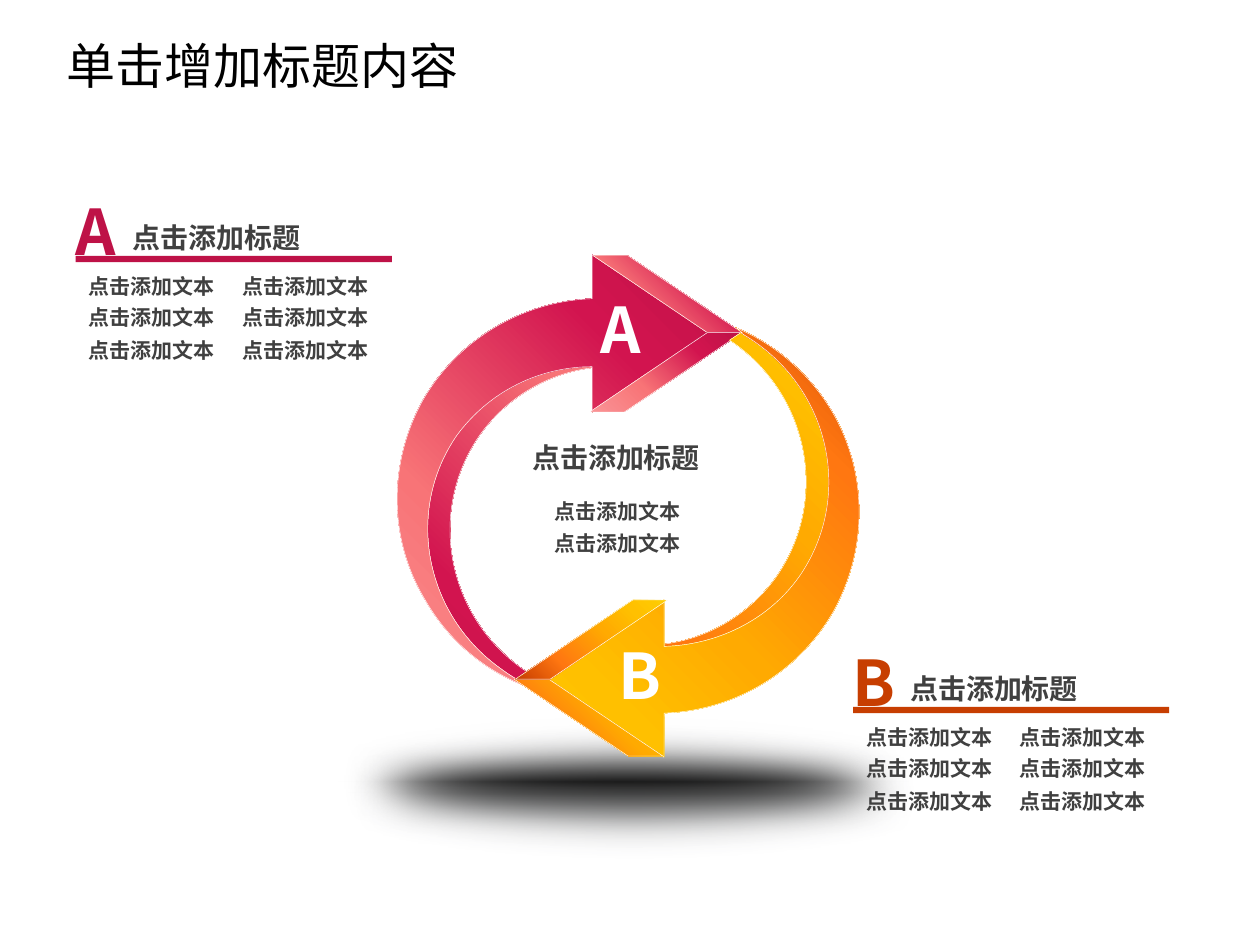
from math import cos, radians, sin

from lxml import etree
from pptx import Presentation
from pptx.dml.color import RGBColor
from pptx.enum.shapes import MSO_SHAPE
from pptx.enum.text import MSO_ANCHOR, MSO_AUTO_SIZE, PP_ALIGN
from pptx.oxml import parse_xml
from pptx.oxml.ns import nsdecls, qn
from pptx.util import Inches, Pt

BLACK = RGBColor(0x00, 0x00, 0x00)
WHITE = RGBColor(0xFF, 0xFF, 0xFF)
GRAY = RGBColor(0x40, 0x40, 0x40)
CRIMSON = RGBColor(0xBE, 0x12, 0x47)
RUST = RGBColor(0xC7, 0x3E, 0x01)
SHADE = RGBColor(0x12, 0x12, 0x12)
SHADOW = RGBColor(0x53, 0x54, 0x55)
RED_STOPS = [(0, CRIMSON, 100), (27, RGBColor(0xD2, 0x14, 0x4F), 100),
             (66, RGBColor(0xF8, 0x74, 0x77), 100), (100, RGBColor(0xFA, 0x94, 0x96), 100)]
GOLD_STOPS = [(0, RUST, 100), (27, RGBColor(0xFF, 0x77, 0x11), 100),
              (59, RGBColor(0xFF, 0xAA, 0x01), 100), (80, RGBColor(0xFF, 0xC0, 0x00), 100),
              (100, RGBColor(0xFE, 0xCE, 0x02), 100)]
FLOOR_STOPS = [(0, SHADE, 100), (100, WHITE, 0)]

TOP_RIGHT = (100, 0, 0, 100)
BOTTOM_LEFT = (0, 100, 100, 0)
CENTER = (50, 50, 50, 50)
SANS = "Noto Sans CJK SC"
LETTER_FONT = "Noto Sans CJK KR"
HEADING = "点击添加标题"
BODY = "点击添加文本"

A_RIBBON = [
    (4.8, 2.38), (4.8, 2.91), (4.41, 2.93, 4.05, 3.12, 3.81, 3.45),
    (3.39, 4.05, 3.54, 4.88, 4.15, 5.31), (4.24, 5.37, 4.33, 5.42, 4.43, 5.46),
    (4.49, 5.48), (4.51, 5.49, 4.53, 5.5, 4.56, 5.51), (4.51, 5.49), (4.29, 5.49),
    (4.11, 5.41), (3.83, 5.23), (3.57, 4.95), (3.35, 4.42), (3.39, 4.39),
    (3.28, 3.99, 3.33, 3.55, 3.54, 3.17), (3.8, 2.71, 4.28, 2.42, 4.8, 2.38)]
A_ARROW = [
    (4.7, 2.02), (5.65, 2.65), (4.7, 3.27), (4.7, 2.91),
    (4.29, 2.91, 3.89, 3.1, 3.63, 3.45), (3.21, 4.05, 3.37, 4.88, 3.98, 5.31),
    (4.1, 5.4, 4.24, 5.47, 4.38, 5.51), (3.96, 5.41, 3.6, 5.15, 3.38, 4.77),
    (3.08, 4.28, 3.08, 3.67, 3.36, 3.17), (3.64, 2.69, 4.15, 2.39, 4.7, 2.37)]
B_RIBBON = [
    (5.88, 2.64), (6.15, 2.8), (6.41, 3.08), (6.63, 3.61), (6.58, 3.64),
    (6.69, 4.04, 6.64, 4.48, 6.43, 4.86), (6.17, 5.32, 5.7, 5.61, 5.18, 5.65),
    (5.18, 5.12), (5.56, 5.1, 5.92, 4.91, 6.16, 4.58),
    (6.58, 3.98, 6.43, 3.15, 5.82, 2.72), (5.79, 2.7)]
B_ARROW = [
    (5.84, 2.6), (6.15, 2.73, 6.42, 2.96, 6.6, 3.26),
    (6.89, 3.75, 6.89, 4.36, 6.61, 4.86), (6.33, 5.34, 5.83, 5.64, 5.27, 5.66),
    (5.27, 6.01), (4.32, 5.38), (5.27, 4.76), (5.27, 5.13),
    (5.68, 5.12, 6.09, 4.93, 6.34, 4.58), (6.76, 3.98, 6.61, 3.15, 6, 2.72),
    (5.96, 2.69, 5.92, 2.67, 5.88, 2.64), (5.89, 2.64)]


def set_gradient(sp, stops, focus, path="circle"):
    """Fill a shape with a path gradient that starts at the focus."""
    gs = "".join(
        f'<a:gs pos="{pos * 1000}"><a:srgbClr val="{color}">'
        f'<a:alpha val="{alpha * 1000}"/></a:srgbClr></a:gs>' for pos, color, alpha in stops)
    sides = " ".join(f'{side}="{v * 1000}"' for side, v in zip("ltrb", focus))
    grad = parse_xml(
        f'<a:gradFill {nsdecls("a")} rotWithShape="1"><a:gsLst>{gs}</a:gsLst>'
        f'<a:path path="{path}"><a:fillToRect {sides}/></a:path></a:gradFill>')
    sp.fill.background()
    sp_pr = sp._element.spPr
    sp_pr.replace(sp_pr.find(qn("a:noFill")), grad)


def style_facet(sp, stops, focus):
    """Give an arrow part its gradient and thin white edge."""
    sp.shadow.inherit = False
    set_gradient(sp, stops, focus)
    sp.line.color.rgb = WHITE
    sp.line.width = Pt(0.25)


def to_frame(x, y, frame, angle):
    """Turn a slide point into EMU inside a frame that is rotated by angle."""
    left, top, w, h = frame
    dx, dy = x - left - w / 2, y - top - h / 2
    c, s = cos(radians(angle)), sin(radians(angle))
    return Inches(dx * c + dy * s + w / 2), Inches(dy * c - dx * s + h / 2)


def add_curve(shapes, outline, frame, angle, stops, focus):
    """Add a closed outline of lines and cubic curves in a rotated frame."""
    builder = shapes.build_freeform(0, 0)
    builder.add_line_segments([(Inches(1), 0), (0, Inches(1))], close=True)
    sp = builder.convert_to_shape()
    sp.left, sp.top, sp.width, sp.height = (Inches(v) for v in frame)
    sp.rotation = angle
    path = next(sp._element.iter(qn("a:path")))
    path.set("w", str(sp.width))
    path.set("h", str(sp.height))
    for child in list(path):
        path.remove(child)
    for i, seg in enumerate(outline):
        tag = "a:moveTo" if i == 0 else "a:lnTo" if len(seg) == 2 else "a:cubicBezTo"
        step = etree.SubElement(path, qn(tag))
        for x, y in zip(seg[::2], seg[1::2]):
            px, py = to_frame(x, y, frame, angle)
            etree.SubElement(step, qn("a:pt"), x=str(int(px)), y=str(int(py)))
    etree.SubElement(path, qn("a:close"))
    style_facet(sp, stops, focus)


def add_fold(shapes, x, y, w, h, angle, stops, focus, flip):
    """Add a slanted side of an arrowhead."""
    sp = shapes.add_shape(MSO_SHAPE.PARALLELOGRAM, Inches(x), Inches(y), Inches(w), Inches(h))
    sp.adjustments[0] = 1.483
    sp.rotation = angle
    if flip:
        sp._element.spPr.xfrm.set("flipH", "1")
    style_facet(sp, stops, focus)


def add_text(shapes, x, y, w, h, text, size, color, font=SANS, bold=True):
    """Add a one-run text box and return its text frame."""
    tf = shapes.add_textbox(Inches(x), Inches(y), Inches(w), Inches(h)).text_frame
    tf.word_wrap = True
    r = tf.paragraphs[0].add_run()
    r.text = text
    r.font.size = Pt(size)
    r.font.bold = bold
    r.font.name = font
    r.font.color.rgb = color
    etree.SubElement(r._r.get_or_add_rPr(), qn("a:ea")).set("typeface", SANS)
    return tf


def add_letter(shapes, x, y, text, color):
    """Add a large letter."""
    tf = add_text(shapes, x, y, 0.54, 0.71, text, 36, color, LETTER_FONT)
    tf.word_wrap = False
    tf.auto_size = MSO_AUTO_SIZE.SHAPE_TO_FIT_TEXT


def add_label(shapes, x, y, text):
    """Add a centred heading or body label."""
    w, h, size, inset = (1.74, 0.37, 16, 0.2) if text == HEADING else (1.37, 0.3, 12, 0.16)
    tf = add_text(shapes, x, y, w, h, text, size, GRAY)
    tf.auto_size = MSO_AUTO_SIZE.SHAPE_TO_FIT_TEXT
    tf.margin_left, tf.margin_right = 0, Inches(inset)
    tf.paragraphs[0].alignment = PP_ALIGN.CENTER


def add_legend(slide, x, y, letter, color):
    """Add a lettered heading over a rule and two columns of labels."""
    shapes = slide.shapes.add_group_shape().shapes
    add_label(shapes, x + 0.35, y - 0.33, HEADING)
    add_letter(shapes, x - 0.1, y - 0.55, letter, color)
    sp = shapes.add_shape(MSO_SHAPE.RECTANGLE, Inches(x), Inches(y), Inches(2.51), Inches(0.05))
    sp.shadow.inherit = False
    sp.fill.solid()
    sp.fill.fore_color.rgb = color
    sp.line.fill.background()
    for dx in (0, 1.22):
        for dy in (0.09, 0.34, 0.6):
            add_label(shapes, x + dx, y + dy, BODY)


def add_arrow(slide, curves, angle, folds, fold_angle, stops, fold_focus, letter):
    """Add a curved arrow with its folds and letter."""
    shapes = slide.shapes.add_group_shape().shapes
    for (outline, frame), focus in zip(curves, (BOTTOM_LEFT, TOP_RIGHT)):
        add_curve(shapes, outline, frame, angle, stops, focus)
    for box, flip in zip(folds, (True, False)):
        add_fold(shapes, *box, fold_angle, stops, fold_focus, flip)
    add_letter(shapes, *letter, WHITE)


def add_floor_shadow(slide):
    """Add the soft dark ellipse under the arrows."""
    sp = slide.shapes.add_shape(MSO_SHAPE.OVAL, Inches(2.09), Inches(5.61),
                                Inches(5.71), Inches(1.19))
    sp.shadow.inherit = False
    set_gradient(sp, FLOOR_STOPS, CENTER, "shape")
    sp.line.fill.background()
    effects = sp._element.spPr.find(qn("a:effectLst"))
    effects.append(parse_xml(
        f'<a:outerShdw {nsdecls("a")} dist="{Pt(8.5)}" dir="2700000">'
        f'<a:srgbClr val="{SHADOW}"/></a:outerShdw>'))
    etree.SubElement(effects, qn("a:softEdge"), rad=str(int(Pt(25))))


def main():
    """Build the slide and save it."""
    prs = Presentation()
    prs.slide_width, prs.slide_height = Inches(10), Inches(7.5)
    s = prs.slides.add_slide(prs.slide_layouts[6])
    tf = add_text(s.shapes, 0.43, 0.16, 9.06, 0.71, "单击增加标题内容", 28, BLACK, "Arial", False)
    tf.vertical_anchor = MSO_ANCHOR.MIDDLE
    add_floor_shadow(s)
    add_arrow(s, [(A_RIBBON, (2.73, 2.89, 3.07, 1.86)), (A_ARROW, (2.51, 2.68, 3.36, 1.91))], 293,
              [(4.71, 2.03, 1.18, 0.61), (4.68, 2.64, 1.21, 0.63)], 0,
              RED_STOPS, TOP_RIGHT, (4.67, 2.26, "A"))
    add_arrow(s, [(B_RIBBON, (4.37, 3.58, 3.05, 1.44)), (B_ARROW, (4.1, 3.45, 3.36, 1.91))], 113,
              [(4.08, 5.39, 1.18, 0.61), (4.09, 4.76, 1.21, 0.63)], 180,
              GOLD_STOPS, BOTTOM_LEFT, (4.81, 5, "B"))
    center = s.shapes.add_group_shape().shapes
    add_label(center, 4.12, 3.45, HEADING)
    for y in (3.91, 4.16):
        add_label(center, 4.3, y, BODY)
    add_legend(s, 0.6, 2.03, "A", CRIMSON)
    add_legend(s, 6.77, 5.61, "B", RUST)
    prs.save("out.pptx")


if __name__ == "__main__":
    main()
